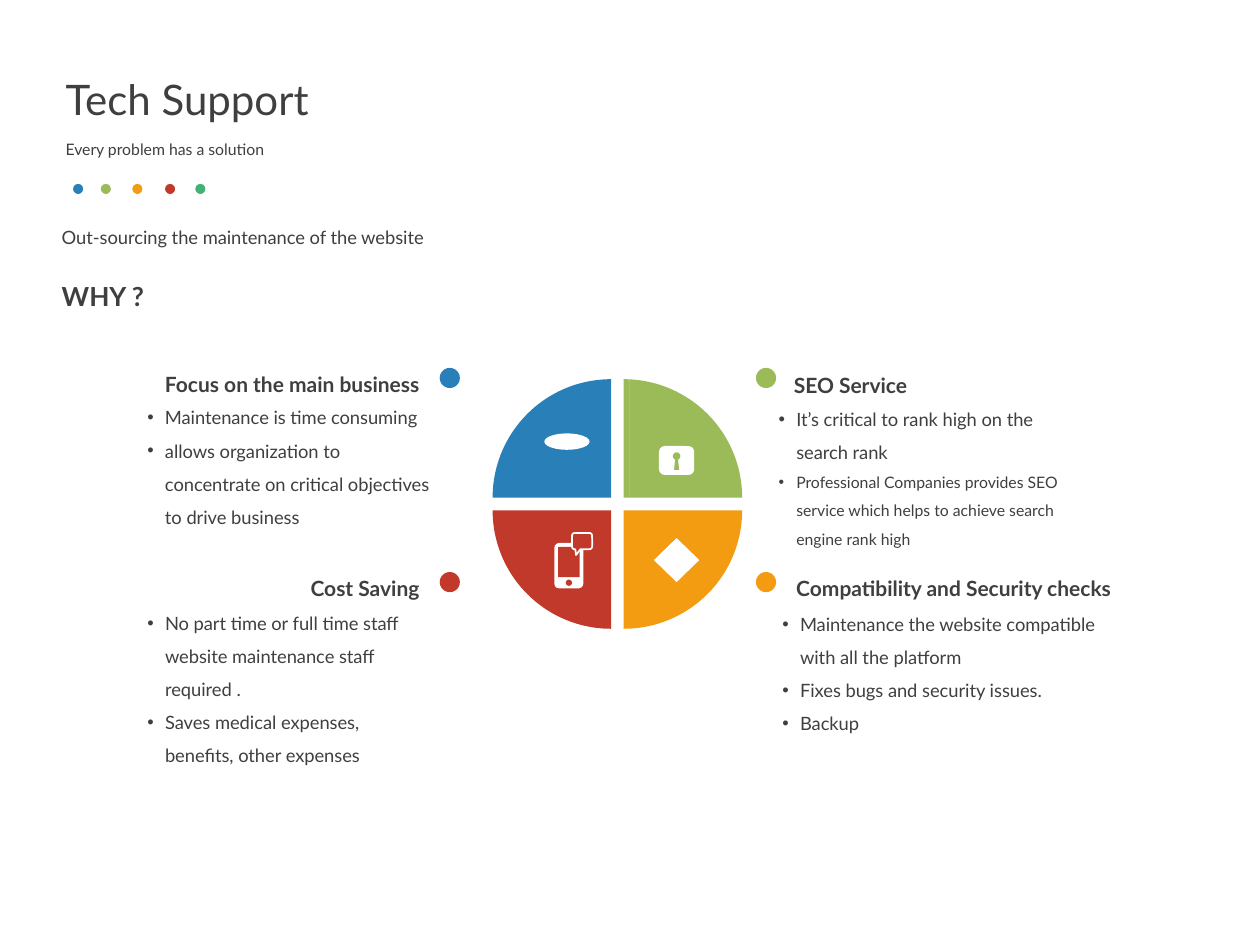
from math import cos, radians, sin

from lxml.etree import SubElement
from pptx import Presentation
from pptx.dml.color import RGBColor
from pptx.enum.shapes import MSO_SHAPE
from pptx.enum.text import MSO_ANCHOR, MSO_AUTO_SIZE, PP_ALIGN
from pptx.oxml.ns import qn
from pptx.util import Inches, Pt

BLUE = RGBColor(0x29, 0x80, 0xB9)
GREEN = RGBColor(0x9B, 0xBB, 0x59)
ORANGE = RGBColor(0xF3, 0x9C, 0x12)
RED = RGBColor(0xC0, 0x39, 0x2B)
TEAL = RGBColor(0x41, 0xB1, 0x76)
WHITE = RGBColor(0xFF, 0xFF, 0xFF)
INK = RGBColor(0x3F, 0x3F, 0x3F)

HEADING = {"size": 12, "bold": True}
HEADING_RIGHT = {**HEADING, "align": PP_ALIGN.RIGHT}
BULLET = {"size": 10.5, "bullet": True}
SMALL_BULLET = {"size": 9, "bullet": True}
BLOCK_MARGINS = (0.06, 0.03)
LINE_MARGINS = (0.07, 0.04)
PLACEHOLDER_MARGINS = (0.1, 0.05)


def set_box(shape, box):
    """Move and size a shape to a box in inches."""
    for name, value in zip(("left", "top", "width", "height"), box):
        setattr(shape, name, Inches(value))


def paint(shape, color):
    """Give a shape a flat fill without line or shadow."""
    shape.shadow.inherit = False
    shape.fill.solid()
    shape.fill.fore_color.rgb = color
    shape.line.fill.background()
    return shape


def add_preset(shapes, kind, box, color):
    """Add a flat preset shape."""
    return paint(shapes.add_shape(kind, *map(Inches, box)), color)


def add_outline(shapes, points, color):
    """Add a flat closed outline through points in inches."""
    builder = shapes.build_freeform(*points[0], scale=Inches(1))
    builder.add_line_segments(points[1:], close=True)
    return paint(builder.convert_to_shape(), color)


def arc(center, radii, start, end, steps=24):
    """Return points along an elliptical arc, clockwise angles in degrees."""
    angles = [radians(start + (end - start) * i / steps) for i in range(steps + 1)]
    return [(center[0] + radii[0] * cos(a), center[1] + radii[1] * sin(a)) for a in angles]


def add_bullet(para):
    """Give a paragraph a hanging bullet."""
    properties = para._p.get_or_add_pPr()
    properties.set("marL", str(Inches(0.14)))
    properties.set("indent", str(-Inches(0.14)))
    SubElement(properties, qn("a:buFont"), typeface="Arial")
    SubElement(properties, qn("a:buChar"), char="•")


def write_text(shape, lines, margins, auto_size=MSO_AUTO_SIZE.NONE, anchor=MSO_ANCHOR.TOP):
    """Fill a shape with (text, format) paragraphs."""
    frame = shape.text_frame
    side, edge = map(Inches, margins)
    settings = {"word_wrap": True, "auto_size": auto_size, "vertical_anchor": anchor,
                "margin_left": side, "margin_right": side,
                "margin_top": edge, "margin_bottom": edge}
    for name, value in settings.items():
        setattr(frame, name, value)
    for index, (text, style) in enumerate(lines):
        para = frame.add_paragraph() if index else frame.paragraphs[0]
        layout = {"alignment": style.get("align", PP_ALIGN.LEFT),
                  "line_spacing": style.get("spacing", 1.5),
                  "space_before": Pt(style.get("before", 0))}
        for name, value in layout.items():
            setattr(para, name, value)
        if style.get("bullet"):
            add_bullet(para)
        span = para.add_run()
        span.text = text
        font = {"name": "Lato", "size": Pt(style["size"]), "bold": style.get("bold", False)}
        for name, value in font.items():
            setattr(span.font, name, value)
        span.font.color.rgb = INK


def add_header(page, box):
    """Place the title, subtitle, colour dots and intro lines."""
    left, top, width, height = box
    title, subtitle = page.placeholders
    set_box(title, box)
    write_text(title, [("Tech Support", {"size": 24, "spacing": 0.9})],
               PLACEHOLDER_MARGINS, anchor=MSO_ANCHOR.BOTTOM)
    set_box(subtitle, (left, top + 0.47, 6.87, 0.29))
    write_text(subtitle, [("Every problem has a solution", {"size": 9, "before": 10})],
               PLACEHOLDER_MARGINS)
    dots = zip((0.16, 0.38, 0.63, 0.89, 1.13), (BLUE, GREEN, ORANGE, RED, TEAL))
    for offset, color in dots:
        add_preset(page.shapes, MSO_SHAPE.OVAL, (left + offset, top + 0.95, 0.08, 0.08), color)
    intro = ((1.16, "Out-sourcing the maintenance of the website", {"size": 10.5}),
             (1.55, "WHY ?", {"size": 15, "bold": True}))
    for offset, text, style in intro:
        line = page.shapes.add_textbox(*map(Inches, (left, top + offset, 6.87, 0.29)))
        write_text(line, [(text, {**style, "before": 10})], LINE_MARGINS)


def add_wheel(page, box):
    """Draw four quarter wedges separated by a cross-shaped gap."""
    left, top, width, height = box
    size = 0.94
    far_x, far_y = left + width - size, top + height - size
    wedges = ((left, top, 0, BLUE), (far_x, top, 90, GREEN),
              (far_x, far_y, 180, ORANGE), (left, far_y, 270, RED))
    for x, y, angle, color in wedges:
        wedge = add_preset(page.shapes, MSO_SHAPE.PIE_WEDGE, (x, y, size, size), color)
        wedge.rotation = angle


def add_disc_icon(page, box):
    """Draw a stack of three discs."""
    left, top, width, height = box
    shapes = page.shapes.add_group_shape().shapes
    radius = width / 2
    center = left + radius
    for offset in (0.25, 0.16):
        y = top + offset
        rim = arc((center, y), (radius, 0.06), -30, 210)
        hollow = arc((center, y - 0.03), (radius * cos(radians(30)), 0.03), 180, 0)
        add_outline(shapes, rim + hollow, WHITE)
    add_preset(shapes, MSO_SHAPE.OVAL, (left, top, width, 0.13), WHITE)


def add_padlock_icon(page, box):
    """Draw an open padlock with a keyhole."""
    left, top, width, height = box
    shapes = page.shapes.add_group_shape().shapes
    hinge = (left + width / 2, top + 0.12)
    shackle = arc(hinge, (0.1, 0.12), 180, 360) + arc(hinge, (0.06, 0.08), 360, 180)
    feet = [(hinge[0] - 0.06, top + 0.19), (hinge[0] - 0.1, top + 0.19)]
    add_outline(shapes, shackle + feet, WHITE)
    body = add_preset(shapes, MSO_SHAPE.ROUNDED_RECTANGLE,
                      (left, top + 0.17, width, height - 0.17), WHITE)
    body.adjustments[0] = 0.2
    add_preset(shapes, MSO_SHAPE.OVAL, (hinge[0] - 0.03, top + 0.22, 0.06, 0.06), GREEN)
    add_preset(shapes, MSO_SHAPE.TRAPEZOID, (hinge[0] - 0.02, top + 0.26, 0.04, 0.1), GREEN)


def add_phone_icon(page, box):
    """Draw a phone with a speech bubble."""
    left, top, width, height = box
    shapes = page.shapes.add_group_shape().shapes
    case = add_preset(shapes, MSO_SHAPE.ROUNDED_RECTANGLE,
                      (left, top + 0.09, 0.23, height - 0.09), WHITE)
    case.adjustments[0] = 0.16
    add_preset(shapes, MSO_SHAPE.RECTANGLE, (left + 0.03, top + 0.12, 0.17, 0.24), RED)
    add_preset(shapes, MSO_SHAPE.OVAL, (left + 0.09, top + 0.38, 0.05, 0.05), RED)
    bubble = add_preset(shapes, MSO_SHAPE.ROUNDED_RECTANGULAR_CALLOUT,
                        (left + width - 0.17, top + 0.01, 0.16, 0.13), RED)
    bubble.adjustments[0], bubble.adjustments[1] = -0.3, 0.85
    bubble.line.color.rgb = WHITE
    bubble.line.width = Pt(1)


def add_reason(page, dot, color, blocks):
    """Place one reason: its colour dot and its text blocks."""
    add_preset(page.shapes, MSO_SHAPE.OVAL, (*dot, 0.16, 0.16), color)
    for box, lines in blocks:
        block = page.shapes.add_textbox(*map(Inches, box))
        write_text(block, lines, BLOCK_MARGINS, MSO_AUTO_SIZE.SHAPE_TO_FIT_TEXT)


def main():
    """Build the slide and save the deck."""
    deck = Presentation()
    deck.slide_width, deck.slide_height = Inches(10), Inches(7.5)
    page = deck.slides.add_slide(deck.slide_layouts[0])
    add_header(page, (0.42, 0.51, 9.15, 0.53))
    add_wheel(page, (3.91, 3.01, 1.98, 1.98))
    add_disc_icon(page, (4.32, 3.44, 0.36, 0.31))
    add_padlock_icon(page, (5.23, 3.37, 0.28, 0.4))
    add_phone_icon(page, (4.4, 4.22, 0.31, 0.45))
    add_preset(page.shapes, MSO_SHAPE.DIAMOND, (5.19, 4.27, 0.36, 0.35), WHITE)

    add_reason(page, (3.49, 2.92), BLUE, [
        ((0.84, 2.82, 2.55, 0.32), [("Focus on the main business", HEADING_RIGHT)]),
        ((1.11, 3.11, 2.36, 1.32), [
            ("Maintenance is time consuming", BULLET),
            ("allows organization to concentrate on critical objectives to drive business", BULLET)])])
    add_reason(page, (6, 2.92), GREEN, [
        ((6.24, 2.83, 2.74, 0.32), [("SEO Service", HEADING)]),
        ((6.12, 3.12, 2.5, 1.24), [
            ("It’s critical to rank high on the search rank", BULLET),
            ("Professional Companies provides SEO service which helps to achieve search "
             "engine rank high", SMALL_BULLET)])])
    add_reason(page, (3.49, 4.54), RED, [
        ((1.11, 4.44, 2.28, 1.88), [
            ("Cost Saving", HEADING_RIGHT),
            ("No part time or full time staff website maintenance staff required .", BULLET),
            ("Saves medical expenses, benefits, other expenses", BULLET)])])
    add_reason(page, (6, 4.54), ORANGE, [
        ((6.26, 4.44, 2.76, 0.32), [("Compatibility and Security checks", HEADING)]),
        ((6.15, 4.75, 2.76, 1.08), [
            ("Maintenance the website compatible with all the platform", BULLET),
            ("Fixes bugs and security issues.", BULLET),
            ("Backup", BULLET)])])
    deck.save("out.pptx")


if __name__ == "__main__":
    main()
